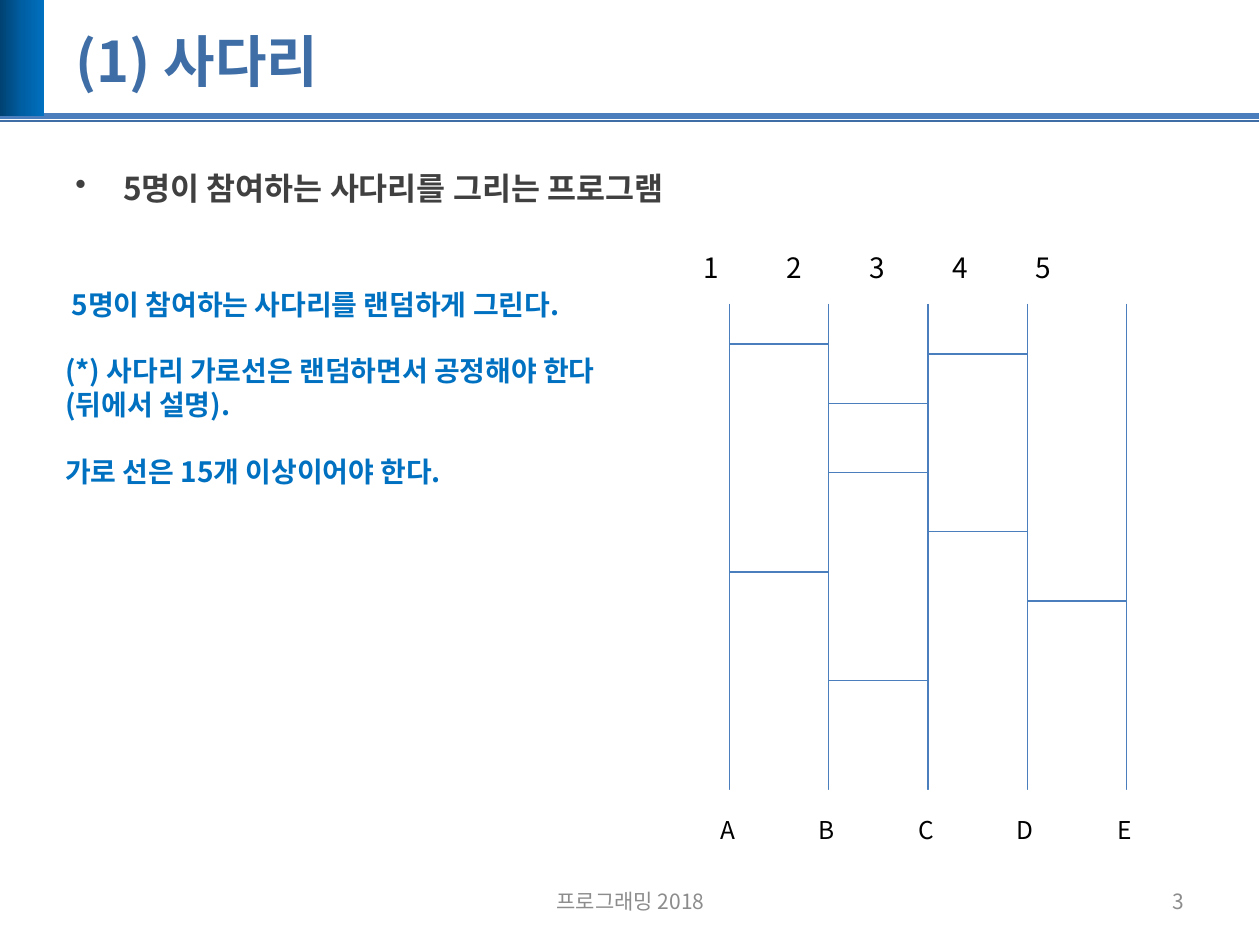
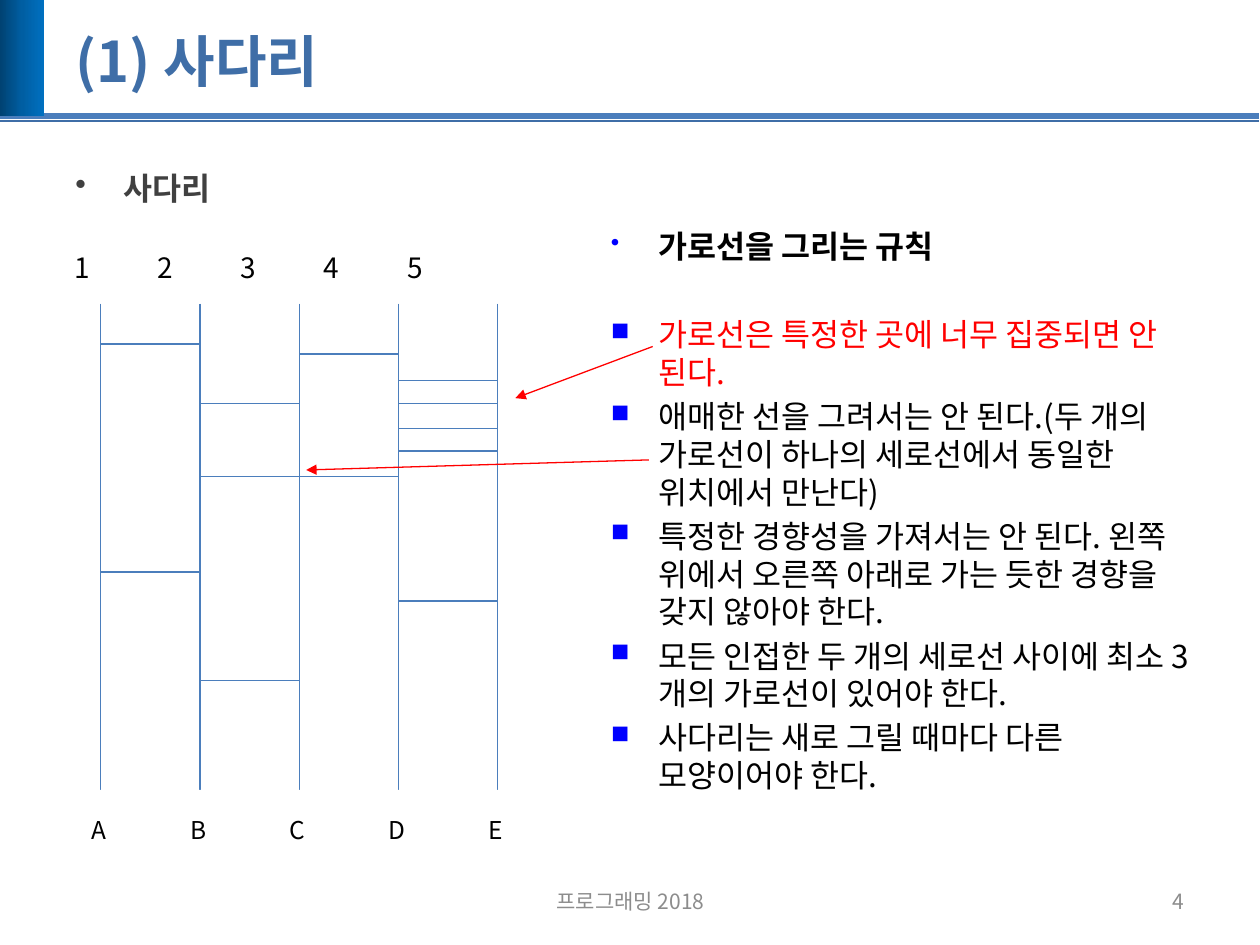
from copy import deepcopy
from itertools import pairwise

from lxml.etree import SubElement as Sub
from pptx import Presentation
from pptx.dml.color import RGBColor as Rgb
from pptx.enum.shapes import MSO_CONNECTOR as Conn, MSO_SHAPE as Kind
from pptx.enum.text import MSO_ANCHOR as Anchor, MSO_AUTO_SIZE as Auto, PP_ALIGN as Align
from pptx.oxml.ns import qn
from pptx.util import Inches, Pt

FONT = "Noto Sans CJK KR"
HEX = {
    "line": "4B7EBC", "title": "3F6EA7", "dark": "004272", "mid": "005EA2",
    "blue": "0070C0", "gray": "8C8C8C", "body": "404040", "black": "000000",
    "white": "FFFFFF", "red": "FF0000", "mark": "0000FF",
}
BODY = {"size": Pt(18), "bold": True}
HEAD = (0.5, 1.23, 9, 0.52)
SPAN, RAIL, DROP = 3.15, 4.02, 0.47
TAB = 0.66


def tint(name):
    """Return the named colour."""
    return Rgb.from_string(HEX[name])


def put(item, vals):
    """Set every attribute in vals on item."""
    for key, val in vals.items():
        setattr(item, key, val)


def area(box):
    """Return a box in inches as a dict of lengths."""
    return dict(zip(("left", "top", "width", "height"), map(Inches, box)))


def write(para, text, tone, look, form=None):
    """Fill a paragraph with text in one style."""
    para.text = text
    put(para, form or {})
    for run in para.runs:
        put(run.font, {"name": FONT, **look})
        run.font.color.rgb = tint(tone)
        Sub(run._r.get_or_add_rPr(), qn("a:ea"), typeface=FONT)


def note(slide, box, lines, frame=None):
    """Add a text box with one paragraph for each line and return its frame."""
    text = slide.shapes.add_textbox(**area(box)).text_frame
    put(text, {"word_wrap": True, **(frame or {})})
    for num, line in enumerate(lines):
        write(text.add_paragraph() if num else text.paragraphs[0], *line)
    return text


def bullet(para, char, tone=None, size=None):
    """Give a paragraph a bullet and a hanging indent."""
    props = para._p.get_or_add_pPr()
    props.set("marL", str(Inches(0.38)))
    props.set("indent", str(-Inches(0.38)))
    if tone:
        Sub(Sub(props, qn("a:buClr")), qn("a:srgbClr"), val=HEX[tone])
    if size:
        Sub(props, qn("a:buSzPct"), val=str(size * 1000))
    Sub(props, qn("a:buChar"), char=char)


def line(slide, start, end, tone="line", width=0.75, arrow=False):
    """Draw a straight line, with an arrowhead at its end if asked."""
    link = slide.shapes.add_connector(Conn.STRAIGHT, *map(Inches, start + end))
    link.line.width = Pt(width)
    link.line.color.rgb = tint(tone)
    if arrow:
        Sub(link.line._get_or_add_ln(), qn("a:tailEnd"), type="triangle")
    Sub(link._element.spPr, qn("a:effectLst"))


def block(slide, box):
    """Add a plain rectangle without line or shadow."""
    shape = slide.shapes.add_shape(Kind.RECTANGLE, **area(box))
    shape.shadow.inherit = False
    shape.line.fill.background()
    return shape


def band(slide):
    """Draw the rules and the gradient block at the top."""
    for y, tone, width in ((0.92, "line", 3), (0.96, "title", 1)):
        line(slide, (-0.01, y), (9.99, y), tone, width)
    fill = block(slide, (0, 0, 0.35, 0.92)).fill
    fill.gradient()
    fill.gradient_angle = 0
    first = fill.gradient_stops[0]._gs
    first.addnext(deepcopy(first))
    for stop, tone, spot in zip(fill.gradient_stops, ("dark", "mid", "blue"), (0, 0.5, 1)):
        stop.color.rgb = tint(tone)
        stop.position = spot


def foot(slide, page):
    """Write the course name and page number."""
    look = {"size": Pt(12)}
    for box, text, align in (
        ((3.42, 6.95, 3.17, 0.4), "프로그래밍 2018", Align.CENTER),
        ((7.17, 6.95, 2.33, 0.4), str(page), Align.RIGHT),
    ):
        note(slide, box, [(text, "gray", look, {"alignment": align})],
             {"vertical_anchor": Anchor.MIDDLE})


def base(deck, page, lead):
    """Add a slide with title, bands, footer and lead bullet."""
    slide = deck.slides.add_slide(deck.slide_layouts[5])
    band(slide)
    title = slide.shapes.title
    put(title, area((0.5, 0.21, 9, 0.54)))
    put(title.text_frame, {"vertical_anchor": Anchor.MIDDLE, "auto_size": Auto.NONE})
    write(title.text_frame.paragraphs[0], "(1) 사다리", "title",
          {"size": Pt(32), "bold": True}, {"alignment": Align.LEFT})
    form = {"line_spacing": 1.2, "space_before": Pt(6), "space_after": Pt(6)}
    text = note(slide, HEAD, [(lead, "body", BODY, form)])
    bullet(text.paragraphs[0], "•")
    foot(slide, page)
    return slide


def ladder(slide, left, top, rungs):
    """Draw a ladder; rungs lists the heights in each gap from the rail tops."""
    rails = [left + SPAN * num / 4 for num in range(5)]
    head = top + DROP
    for x in rails:
        line(slide, (x, head), (x, head + RAIL))
    for (x, after), steps in zip(pairwise(rails), rungs):
        for step in steps:
            line(slide, (x, head + step), (after, head + step))
    text = note(slide, (left - 0.51, top, 3.85, 0.37),
                [("1\t2\t3\t4\t5", "black", {"size": Pt(16)})],
                {"margin_left": Inches(0.3)})
    tabs = Sub(text.paragraphs[0]._p.get_or_add_pPr(), qn("a:tabLst"))
    for num in range(1, 5):
        Sub(tabs, qn("a:tab"), pos=str(Inches(TAB * num)), algn="l")
    for x, name in zip(rails, "ABCDE"):
        tag = block(slide, (x - 0.37, head + 3.86, 0.71, 0.63))
        tag.fill.solid()
        tag.fill.fore_color.rgb = tint("white")
        put(tag.text_frame, {"vertical_anchor": Anchor.MIDDLE,
                             "margin_left": Inches(0.04), "margin_right": Inches(0.04)})
        write(tag.text_frame.paragraphs[0], name, "black", {"size": Pt(14)},
              {"alignment": Align.CENTER})


def rules(slide, box):
    """List the rules for the rungs."""
    plain = {"size": Pt(18), "bold": False}
    gap = {"space_before": Pt(3.6)}
    lines = [
        ("가로선을 그리는 규칙", "black", BODY),
        ("가로선은 특정한 곳에 너무 집중되면 안 된다.", "red", plain, {"space_before": Pt(29)}),
    ]
    lines += [(text, "black", plain, gap) for text in (
        "애매한 선을 그려서는 안 된다.(두 개의 가로선이 하나의 세로선에서 동일한 위치에서 만난다)",
        "특정한 경향성을 가져서는 안 된다. 왼쪽 위에서 오른쪽 아래로 가는 듯한 경향을 갖지 않아야 한다.",
        "모든 인접한 두 개의 세로선 사이에 최소 3개의 가로선이 있어야 한다.",
        "사다리는 새로 그릴 때마다 다른 모양이어야 한다.",
    )]
    for num, para in enumerate(note(slide, box, lines).paragraphs):
        bullet(para, "■" if num else "•", "mark", 80)


def task(deck):
    """Build the slide that sets the task."""
    slide = base(deck, 3, "5명이 참여하는 사다리를 그리는 프로그램")
    look = {"size": Pt(16), "bold": True}
    gap = {"space_before": Pt(19)}
    note(slide, (0.42, 2.23, 4.6, 1.99), [
        (" 5명이 참여하는 사다리를 랜덤하게 그린다.", "blue", look),
        ("(*) 사다리 가로선은 랜덤하면서 공정해야 한다\n(뒤에서 설명).", "blue", look, gap),
        ("가로 선은 15개 이상이어야 한다.", "blue", look, gap),
    ], {"word_wrap": False})
    ladder(slide, 5.79, 1.94,
           ((0.32, 2.13), (0.79, 1.34, 2.99), (0.4, 1.81), (2.36,)))


def guide(deck):
    """Build the slide that explains the rules."""
    slide = base(deck, 4, "사다리")
    rules(slide, (4.75, 1.75, 4.82, 4.95))
    ladder(slide, 0.8, 1.94,
           ((0.32, 2.13), (0.79, 1.37, 2.99), (0.4, 1.37), (0.61, 0.79, 0.99, 1.17, 2.36)))
    for start, end in (((5.15, 3.65), (2.43, 3.73)), ((5.18, 2.75), (4.09, 3.16))):
        line(slide, start, end, "red", arrow=True)


def main():
    """Build and save the deck."""
    deck = Presentation()
    put(deck, {"slide_width": Inches(10), "slide_height": Inches(7.5)})
    task(deck)
    guide(deck)
    deck.save("out.pptx")


if __name__ == "__main__":
    main()
